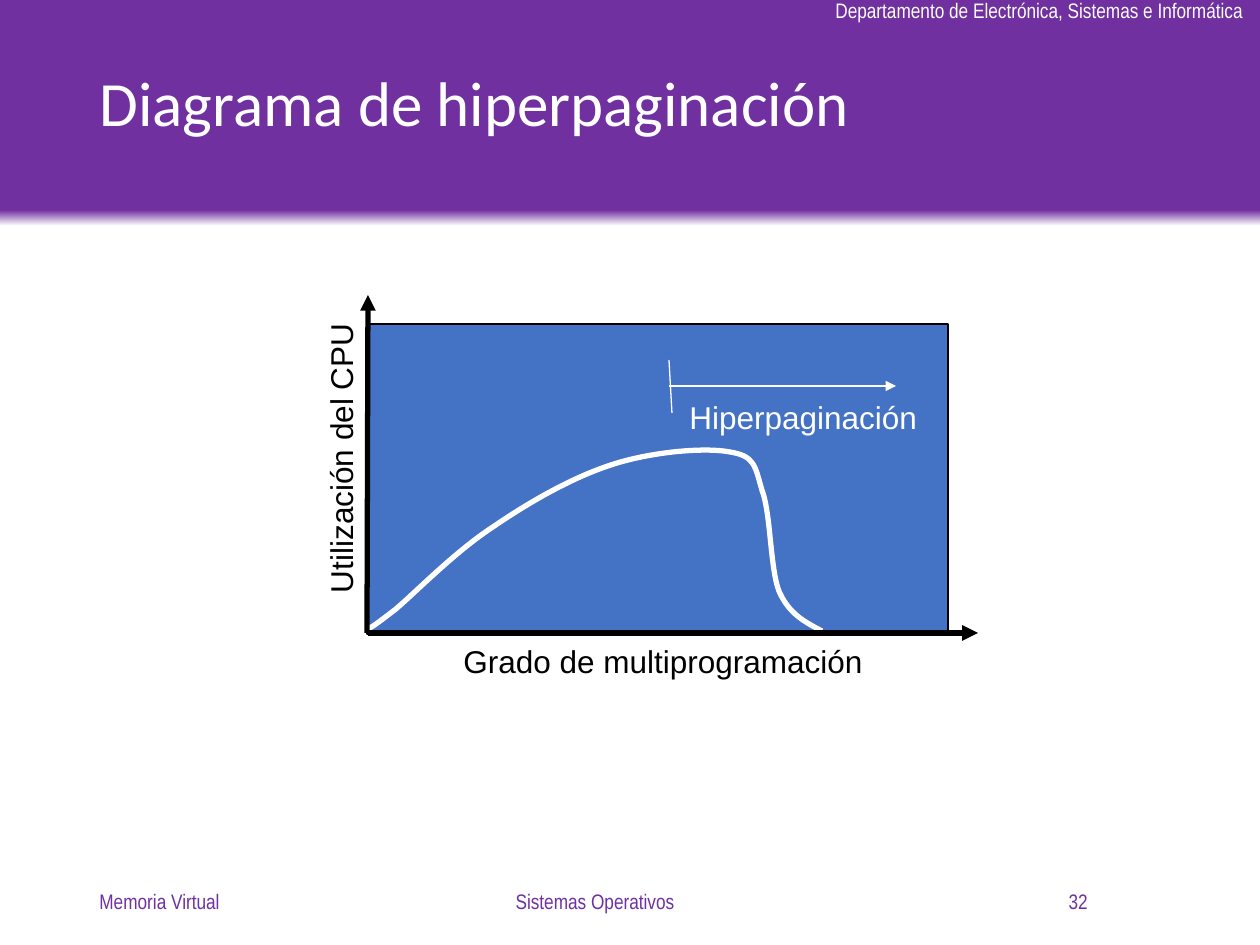
from pptx import Presentation
from pptx.dml.color import RGBColor
from pptx.enum.shapes import MSO_CONNECTOR, MSO_SHAPE
from pptx.enum.text import MSO_ANCHOR, PP_ALIGN
from pptx.oxml.ns import qn
from pptx.util import Emu, Pt
from lxml.etree import SubElement

PURPLE = RGBColor(0x70, 0x30, 0xA0)
BLUE = RGBColor(0x44, 0x72, 0xC4)
WHITE = RGBColor(0xFF, 0xFF, 0xFF)
BLACK = RGBColor(0, 0, 0)
SCALE = 914400 / 126

TITLE = "Diagrama de hiperpaginación"
HEADER = ("Departamento de Electrónica, Sistemas e Informática", (823, -9, 438, 38))
LABELS = [
    ("Hiperpaginación", (677, 392, 253, 50), WHITE, 0),
    ("Grado de multiprogramación", (451, 636, 424, 50), BLACK, 0),
    ("Utilización del CPU", (193, 433, 295, 50), BLACK, 270),
]
FOOTERS = [
    ("Memoria Virtual", (87, 876, 284, 50), PP_ALIGN.LEFT),
    ("Sistemas Operativos", (382, 876, 426, 50), PP_ALIGN.CENTER),
    ("32", (816, 876, 284, 50), PP_ALIGN.RIGHT),
]
LINES = [
    ((669, 360), (672, 413), WHITE, 0.75, False),
    ((669, 386), (896, 386), WHITE, 0.75, True),
    ((367, 633), (368, 295), BLACK, 3, True),
    ((368, 633), (978, 633), BLACK, 3, True),
]
CURVE_START = (368, 629)
CURVE_CONTROLS = [
    (372, 627), (374, 626), (396, 609),
    (416, 592), (456, 551), (493, 527),
    (528, 503), (571, 478), (611, 465),
    (650, 452), (704, 447), (730, 452),
    (755, 456), (755, 466), (762, 490),
    (771, 513), (770, 567), (779, 591),
    (789, 614), (805, 622), (822, 631),
]


def px(*values):
    return [Emu(round(v * SCALE)) for v in values]


def add_rect(s, box):
    sp = s.shapes.add_shape(MSO_SHAPE.RECTANGLE, *px(*box))
    sp.shadow.inherit = False
    return sp


def write(tf, text, font, size, color, align=PP_ALIGN.LEFT):
    p = tf.paragraphs[0]
    p.alignment = align
    r = p.add_run()
    r.text = text
    r.font.name = font
    r.font.size = Pt(size)
    r.font.color.rgb = color
    return p


def add_text(s, text, box, font, size, color, align=PP_ALIGN.LEFT,
             anchor=MSO_ANCHOR.TOP, wrap=False):
    sp = s.shapes.add_textbox(*px(*box))
    tf = sp.text_frame
    tf.word_wrap = wrap
    tf.vertical_anchor = anchor
    write(tf, text, font, size, color, align)
    return sp


def add_line(s, start, end, color, width, arrow):
    cxn = s.shapes.add_connector(MSO_CONNECTOR.STRAIGHT, *px(*start, *end))
    cxn.line.color.rgb = color
    cxn.line.width = Pt(width)
    if arrow:
        SubElement(cxn.line._get_or_add_ln(), qn("a:tailEnd"), type="triangle")
    SubElement(cxn._element.spPr, qn("a:effectLst"))


def add_curve(s, start, controls):
    builder = s.shapes.build_freeform(*start, scale=SCALE)
    builder.add_line_segments(controls, close=False)
    sp = builder.convert_to_shape()
    sp.shadow.inherit = False
    sp.fill.background()
    sp.line.color.rgb = WHITE
    sp.line.width = Pt(3)
    segments = list(sp._element.iter(qn("a:lnTo")))
    outline = segments[0].getparent()
    for i in range(0, len(segments), 3):
        bezier = SubElement(outline, qn("a:cubicBezTo"))
        for segment in segments[i:i + 3]:
            bezier.append(segment[0])
            outline.remove(segment)


def main():
    prs = Presentation()
    prs.slide_width, prs.slide_height = px(1260, 945)
    s = prs.slides.add_slide(prs.slide_layouts[5])

    band = add_rect(s, (0, 0, 1260, 226))
    band.line.fill.background()
    band.fill.gradient()
    band.fill.gradient_angle = 90
    for stop, (position, color) in zip(band.fill.gradient_stops, [(0, WHITE), (0.07, PURPLE)]):
        stop.position = position
        stop.color.rgb = color
    add_text(s, *HEADER, "Arial Narrow", 12, WHITE)

    title = s.shapes.title
    title.left, title.top, title.width, title.height = px(87, 19, 1086, 175)
    title.text_frame.vertical_anchor = MSO_ANCHOR.MIDDLE
    write(title.text_frame, TITLE, "Calibri", 36, WHITE).line_spacing = 0.9
    band._element.addnext(title._element)

    plot = add_rect(s, (367, 324, 581, 310))
    plot.fill.solid()
    plot.fill.fore_color.rgb = BLUE
    plot.line.color.rgb = BLACK
    plot.line.width = Pt(0.75)
    add_curve(s, CURVE_START, CURVE_CONTROLS)

    for line in LINES:
        add_line(s, *line)
    for text, box, color, rotation in LABELS:
        add_text(s, text, box, "Arial", 18, color).rotation = rotation
    for text, box, align in FOOTERS:
        add_text(s, text, box, "Arial Narrow", 12, PURPLE, align, MSO_ANCHOR.MIDDLE, True)

    prs.save("out.pptx")


if __name__ == "__main__":
    main()
